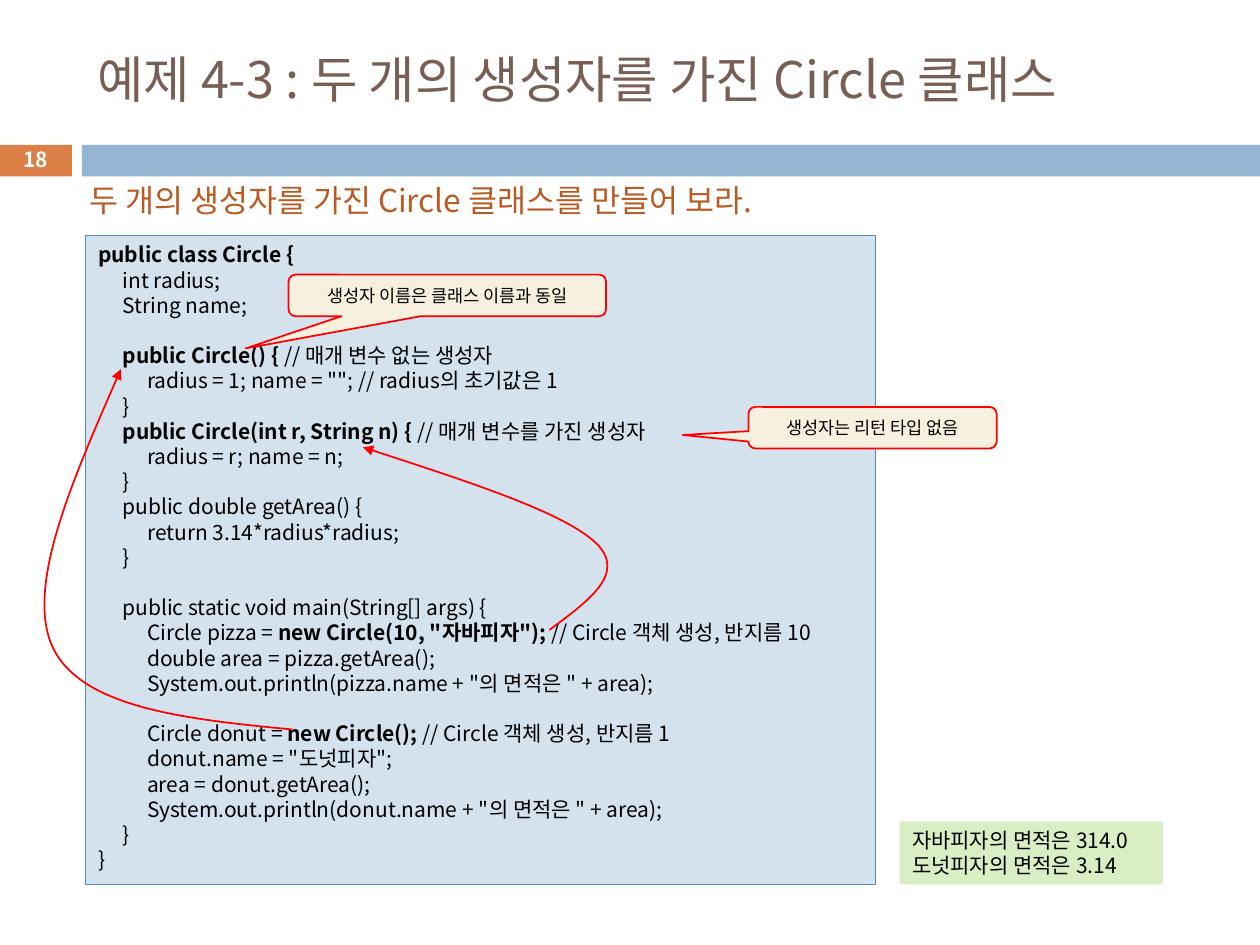
from lxml.etree import SubElement
from pptx import Presentation
from pptx.dml.color import RGBColor
from pptx.enum.shapes import MSO_SHAPE
from pptx.enum.text import MSO_ANCHOR, MSO_AUTO_SIZE, PP_ALIGN
from pptx.oxml.ns import qn
from pptx.util import Inches, Pt

FONT = "Noto Sans CJK KR"
RED = "FF0000"
TAB = 0.195

CODE = [
    [("public class Circle {", True)],
    [("\tint radius;", False)],
    [("\tString name;", False)],
    [],
    [("\t", False), ("public Circle() {", True), (" // 매개 변수 없는 생성자", False)],
    [("\t\tradius = 1; name = \"\"; // radius의 초기값은 1", False)],
    [("\t}", False)],
    [("\t", False), ("public Circle(int r, String n) { ", True),
     ("// 매개 변수를 가진 생성자", False)],
    [("\t\tradius = r; name = n;", False)],
    [("\t}", False)],
    [("\tpublic double getArea() {", False)],
    [("\t\treturn 3.14*radius*radius;", False)],
    [("\t}", False)],
    [],
    [("\tpublic static void main(String[] args) {", False)],
    [("\t\tCircle pizza = ", False), ("new Circle(10, \"자바피자\"); ", True),
     ("// Circle 객체 생성, 반지름 10", False)],
    [("\t\tdouble area = pizza.getArea();", False)],
    [("\t\tSystem.out.println(pizza.name + \"의 면적은 \" + area);", False)],
    [],
    [("\t\tCircle donut = ", False), ("new Circle(); ", True),
     ("// Circle 객체 생성, 반지름 1", False)],
    [("\t\tdonut.name = \"도넛피자\";", False)],
    [("\t\tarea = donut.getArea();", False)],
    [("\t\tSystem.out.println(donut.name + \"의 면적은 \" + area);", False)],
    [("\t}", False)],
    [("}", False)],
]
RESULT = [[("자바피자의 면적은 314.0", False)], [("도넛피자의 면적은 3.14", False)]]


def color(code):
    return RGBColor.from_string(code)


def inches(box):
    return [Inches(value) for value in box]


def write(frame, lines, size, ink="000000", align=PP_ALIGN.LEFT,
          anchor=MSO_ANCHOR.TOP, pitch=None, tabs=()):
    frame.word_wrap = True
    frame.auto_size = MSO_AUTO_SIZE.NONE
    frame.vertical_anchor = anchor
    for i, line in enumerate(lines):
        para = frame.add_paragraph() if i else frame.paragraphs[0]
        para.alignment = align
        if pitch:
            para.line_spacing = Pt(pitch)
        if tabs:
            stops = SubElement(para._p.get_or_add_pPr(), qn("a:tabLst"))
            for pos in tabs:
                SubElement(stops, qn("a:tab"), pos=str(Inches(pos)), algn="l")
        para.font.size = Pt(size)
        for text, bold in line:
            run = para.add_run()
            run.text = text
            font = run.font
            font.name, font.size, font.bold = FONT, Pt(size), bold
            font.color.rgb = color(ink)
            SubElement(font._element, qn("a:ea"), typeface=FONT)


def block(slide, box, fill, line=None, width=1, kind=MSO_SHAPE.RECTANGLE):
    shape = slide.shapes.add_shape(kind, *inches(box))
    shape.shadow.inherit = False
    shape.fill.solid()
    shape.fill.fore_color.rgb = color(fill)
    if line:
        shape.line.color.rgb = color(line)
        shape.line.width = Pt(width)
    else:
        shape.line.fill.background()
    return shape


def label(slide, box, text, size, ink, **style):
    bold = style.pop("bold", False)
    frame = slide.shapes.add_textbox(*inches(box)).text_frame
    write(frame, [[(text, bold)]], size, ink, **style)


def header(slide, box):
    title = slide.shapes.title
    title.left, title.top, title.width, title.height = inches(box)
    write(title.text_frame, [[("예제 4-3 : 두 개의 생성자를 가진 Circle 클래스", False)]],
          28.8, "775F55", anchor=MSO_ANCHOR.MIDDLE)


def band(slide, box):
    left, top, width, height = box
    block(slide, (left, top, 0.58, height), "DD8047")
    block(slide, (left + 0.66, top, width - 0.66, height), "94B6D2")
    label(slide, (left, top - 0.02, 0.58, height + 0.02), "18", 11.9, "FFFFFF",
          bold=True, align=PP_ALIGN.CENTER, anchor=MSO_ANCHOR.MIDDLE)


def listing(slide, box):
    shape = block(slide, box, "D4E2ED", "558BB8", 0.75)
    write(shape.text_frame, CODE, 12, pitch=14.4, tabs=(TAB, 2 * TAB))


def output(slide, box):
    shape = block(slide, box, "DAEEC4")
    write(shape.text_frame, RESULT, 12, pitch=14.4)


def curve(slide, box, points):
    left, top, width, height = box
    pen = slide.shapes.build_freeform(Inches(left), Inches(top))
    pen.add_line_segments([(Inches(left + width), Inches(top)),
                           (Inches(left + width), Inches(top + height))], close=False)
    shape = pen.convert_to_shape()
    shape.shadow.inherit = False
    shape.fill.background()
    shape.line.color.rgb = color(RED)
    shape.line.width = Pt(1)
    SubElement(shape.line._get_or_add_ln(), qn("a:tailEnd"), type="triangle")
    route = shape._element.spPr.find(".//" + qn("a:path"))
    for child in list(route):
        route.remove(child)
    parts = [("a:moveTo", points[:1])]
    parts += [("a:cubicBezTo", points[i:i + 3]) for i in range(1, len(points), 3)]
    for tag, group in parts:
        step = SubElement(route, qn(tag))
        for x, y in group:
            SubElement(step, qn("a:pt"), x=str(Inches(x - left)), y=str(Inches(y - top)))


def callout(slide, box, text, tip):
    shape = block(slide, box, "F7F0DE", RED, kind=MSO_SHAPE.ROUNDED_RECTANGULAR_CALLOUT)
    for i, value in enumerate((*tip, 0.167)):
        shape.adjustments[i] = value
    write(shape.text_frame, [[(text, False)]], 10,
          align=PP_ALIGN.CENTER, anchor=MSO_ANCHOR.MIDDLE)


def main():
    deck = Presentation()
    deck.slide_width, deck.slide_height = Inches(10), Inches(7.5)
    slide = deck.slides.add_slide(deck.slide_layouts[5])
    band(slide, (-0.01, 1.15, 10.01, 0.25))
    header(slide, (0.67, 0.25, 8.92, 0.74))
    label(slide, (0.61, 1.39, 7.57, 0.4),
          "두 개의 생성자를 가진 Circle 클래스를 만들어 보라.", 18, "B95B22")
    listing(slide, (0.68, 1.87, 6.27, 5.15))
    output(slide, (7.14, 6.52, 2.09, 0.5))
    curve(slide, (2.88, 3.55, 1.94, 1.45),
          [(4.36, 5), (4.67, 4.77), (4.98, 4.55), (4.73, 4.31),
           (4.48, 4.07), (3.68, 3.81), (2.88, 3.55)])
    curve(slide, (0.35, 2.93, 1.96, 2.86),
          [(2.32, 5.79), (1.48, 5.71), (0.65, 5.62), (0.42, 5.14),
           (0.2, 4.67), (0.58, 3.8), (0.96, 2.93)])
    callout(slide, (2.29, 2.18, 2.52, 0.33), "생성자 이름은 클래스 이름과 동일", (-0.635, 1.275))
    callout(slide, (5.94, 3.23, 1.97, 0.33), "생성자는 리턴 타입 없음", (-0.765, 0.176))
    deck.save("out.pptx")


if __name__ == "__main__":
    main()
